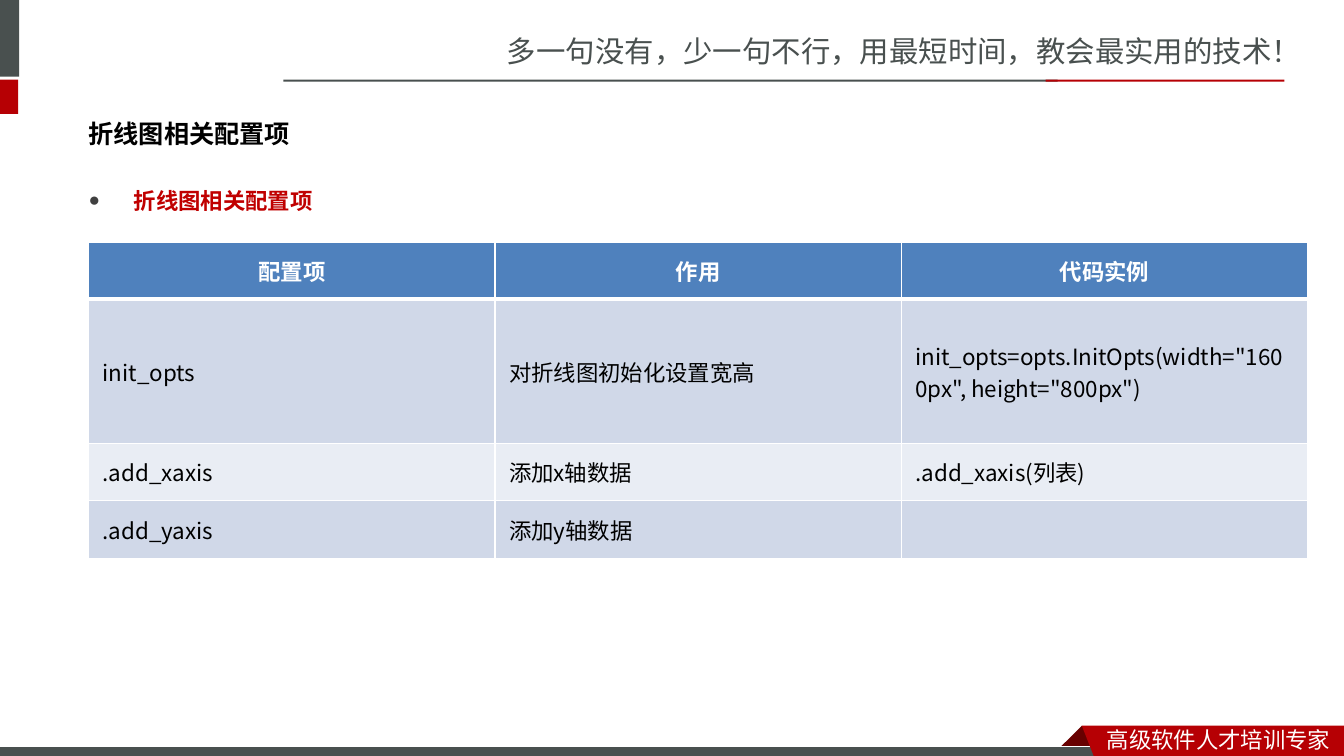
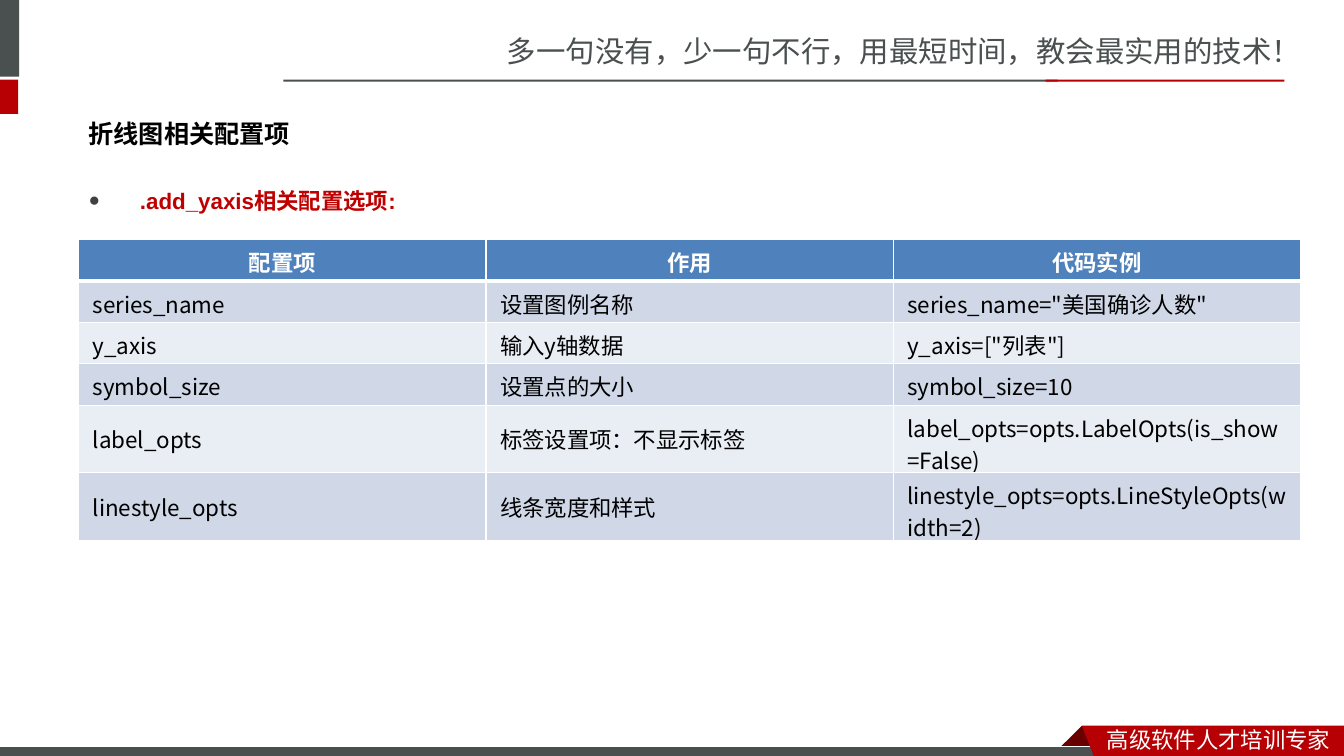
from lxml.etree import SubElement
from pptx import Presentation
from pptx.dml.color import RGBColor
from pptx.enum.shapes import MSO_SHAPE as Preset
from pptx.enum.text import MSO_ANCHOR as Anchor, PP_ALIGN as Align
from pptx.oxml.ns import qn
from pptx.util import Pt

PX = 9144
SLIDE_WIDTH, SLIDE_HEIGHT = 1333, 750

GREY = RGBColor(0x49, 0x50, 0x4F)
RED = RGBColor(0xB6, 0x00, 0x04)
DARK_RED = RGBColor(0x68, 0x00, 0x00)
BULLET_RED = RGBColor(0xC0, 0x00, 0x00)
BULLET_GREY = RGBColor(0x40, 0x40, 0x40)
HEADER_BLUE = RGBColor(0x4F, 0x81, 0xBD)
ROW_FILLS = (RGBColor(0xD0, 0xD8, 0xE8), RGBColor(0xE9, 0xED, 0xF4))
WHITE = RGBColor(0xFF, 0xFF, 0xFF)
BLACK = RGBColor(0x00, 0x00, 0x00)

SANS = "Noto Sans CJK SC"
SANS_JP = "Noto Sans CJK JP"
LATIN = "Arial"

SLOGAN = "多一句没有，少一句不行，用最短时间，教会最实用的技术！"
MOTTO = "高级软件人才培训专家"
TITLE = "折线图相关配置项"
HEADER = ("配置项", "作用", "代码实例")

CHART_OPTIONS = (
    ("init_opts", "对折线图初始化设置宽高",
     'init_opts=opts.InitOpts(width="1600px", height="800px")'),
    (".add_xaxis", "添加x轴数据", ".add_xaxis(列表)"),
    (".add_yaxis", "添加y轴数据", ""),
)
YAXIS_OPTIONS = (
    ("series_name", "设置图例名称", 'series_name="美国确诊人数"'),
    ("y_axis", "输入y轴数据", 'y_axis=["列表"]'),
    ("symbol_size", "设置点的大小", "symbol_size=10"),
    ("label_opts", "标签设置项：不显示标签",
     "label_opts=opts.LabelOpts(is_show=False)"),
    ("linestyle_opts", "线条宽度和样式",
     "linestyle_opts=opts.LineStyleOpts(width=2)"),
)


def px(*lengths):
    """Turn pixel lengths into EMU."""
    return [length * PX for length in lengths]


def style_text(paragraph, size, color, bold=False, font=SANS, east_asian=None):
    """Format every run of a paragraph."""
    for run in paragraph.runs:
        run.font.size = Pt(size)
        run.font.bold = bold
        run.font.color.rgb = color
        run.font.name = font
        SubElement(run.font._element, qn("a:ea"), typeface=east_asian or font)


def add_text(slide, box, text, size, color, anchor=Anchor.TOP, **style):
    """Add a wrapped text box and return its paragraph."""
    frame = slide.shapes.add_textbox(*px(*box)).text_frame
    frame.word_wrap = True
    frame.vertical_anchor = anchor
    frame.text = text
    style_text(frame.paragraphs[0], size, color, **style)
    return frame.paragraphs[0]


def paint(shape, fill, line=None):
    """Give a shape a flat fill and an optional thin outline."""
    shape.shadow.inherit = False
    shape.fill.solid()
    shape.fill.fore_color.rgb = fill
    if line is None:
        shape.line.fill.background()
    else:
        shape.line.color.rgb = line
        shape.line.width = Pt(0.75)


def add_bar(slide, box, fill, line=None):
    """Add a flat rectangle."""
    paint(slide.shapes.add_shape(Preset.RECTANGLE, *px(*box)), fill, line)


def add_polygon(slide, points, fill):
    """Add a closed outline through the given points."""
    builder = slide.shapes.build_freeform(*points[0], scale=PX)
    builder.add_line_segments(points[1:], close=True)
    paint(builder.convert_to_shape(), fill)


def add_frame(slide):
    """Draw the slogan, side bands and footer shared by all slides."""
    add_text(slide, (493, 28, 841, 47), SLOGAN, 21, GREY)
    add_bar(slide, (-6, 0, 25, 76), GREY)
    add_bar(slide, (-6, 79, 24, 34), RED)
    add_bar(slide, (281, 79, 768, 2), GREY)
    add_bar(slide, (1037, 79, 237, 2), RED)
    add_polygon(slide, [(1073, 720), (1095, 742), (1094, 743),
                        (1052, 743), (1051, 742)], DARK_RED)
    add_bar(slide, (-1, 741, 1100, 12), GREY, WHITE)
    add_polygon(slide, [(1073, 720), (1333, 720), (1333, 754),
                        (1086, 753)], RED)
    add_text(slide, (1088, 715, 245, 37), MOTTO, 16, WHITE)


def add_bullet(slide, text, indent):
    """Add the red bulleted subheading."""
    paragraph = add_text(slide, (78, 167, 1176, 461), text, 16, BULLET_RED,
                         bold=True, font=LATIN, east_asian=SANS)
    paragraph.line_spacing = 1.5
    properties = paragraph._p.get_or_add_pPr()
    properties.set("marL", str(indent * PX))
    properties.set("indent", str(-indent * PX))
    color = SubElement(properties, qn("a:buClr"))
    SubElement(color, qn("a:srgbClr"), val=str(BULLET_GREY))
    SubElement(properties, qn("a:buSzPct"), val="85000")
    SubElement(properties, qn("a:buFont"), typeface=LATIN)
    SubElement(properties, qn("a:buChar"), char="●")


def set_borders(cell, bottom):
    """Draw white cell borders, the bottom one in its own width."""
    properties = cell._tc.get_or_add_tcPr()
    widths = {"a:lnL": 1, "a:lnR": 1, "a:lnT": 1, "a:lnB": bottom}
    for position, (tag, width) in enumerate(widths.items()):
        line = SubElement(properties, qn(tag), w=str(Pt(width)))
        fill = SubElement(line, qn("a:solidFill"))
        SubElement(fill, qn("a:srgbClr"), val=str(WHITE))
        properties.insert(position, line)


def fill_cell(cell, text, row):
    """Write and format one table cell by its row number."""
    is_header = row == 0
    cell.vertical_anchor = Anchor.MIDDLE
    cell.margin_left = cell.margin_right = 14 * PX
    cell.margin_top = cell.margin_bottom = 6 * PX
    cell.fill.solid()
    cell.fill.fore_color.rgb = HEADER_BLUE if is_header else ROW_FILLS[(row - 1) % 2]
    set_borders(cell, 3 if row <= 0 else 1)
    cell.text = text
    paragraph = cell.text_frame.paragraphs[0]
    paragraph.alignment = Align.CENTER if is_header else Align.LEFT
    style_text(paragraph, 16, WHITE if is_header else BLACK, is_header, SANS_JP)


def add_options_table(slide, left, top, column_width, row_heights, options):
    """Add a table of options below the shared header row."""
    rows = (HEADER, *options)
    box = (left, top, column_width * len(HEADER), sum(row_heights))
    table = slide.shapes.add_table(len(rows), len(HEADER), *px(*box)).table
    for column in table.columns:
        column.width = column_width * PX
    for row, (texts, height) in enumerate(zip(rows, row_heights)):
        table.rows[row].height = height * PX
        for column, text in enumerate(texts):
            fill_cell(table.cell(row, column), text, row)


def add_options_slide(presentation, subheading, indent, *table):
    """Add a slide with the title, a subheading and an options table."""
    slide = presentation.slides.add_slide(presentation.slide_layouts[6])
    add_frame(slide)
    add_bullet(slide, subheading, indent)
    add_text(slide, (78, 104, 1176, 57), TITLE, 18, BLACK, Anchor.MIDDLE,
             bold=True, font=SANS_JP)
    add_options_table(slide, *table)


def main():
    """Build and save the presentation."""
    presentation = Presentation()
    presentation.slide_width, presentation.slide_height = px(SLIDE_WIDTH, SLIDE_HEIGHT)
    add_options_slide(presentation, "折线图相关配置项", 45,
                      88, 240, 403, (57, 143, 57, 57), CHART_OPTIONS)
    add_options_slide(presentation, ".add_yaxis相关配置选项:", 51,
                      78, 238, 404, (41, 41, 41, 41, 67, 67), YAXIS_OPTIONS)
    presentation.save("out.pptx")


if __name__ == "__main__":
    main()
